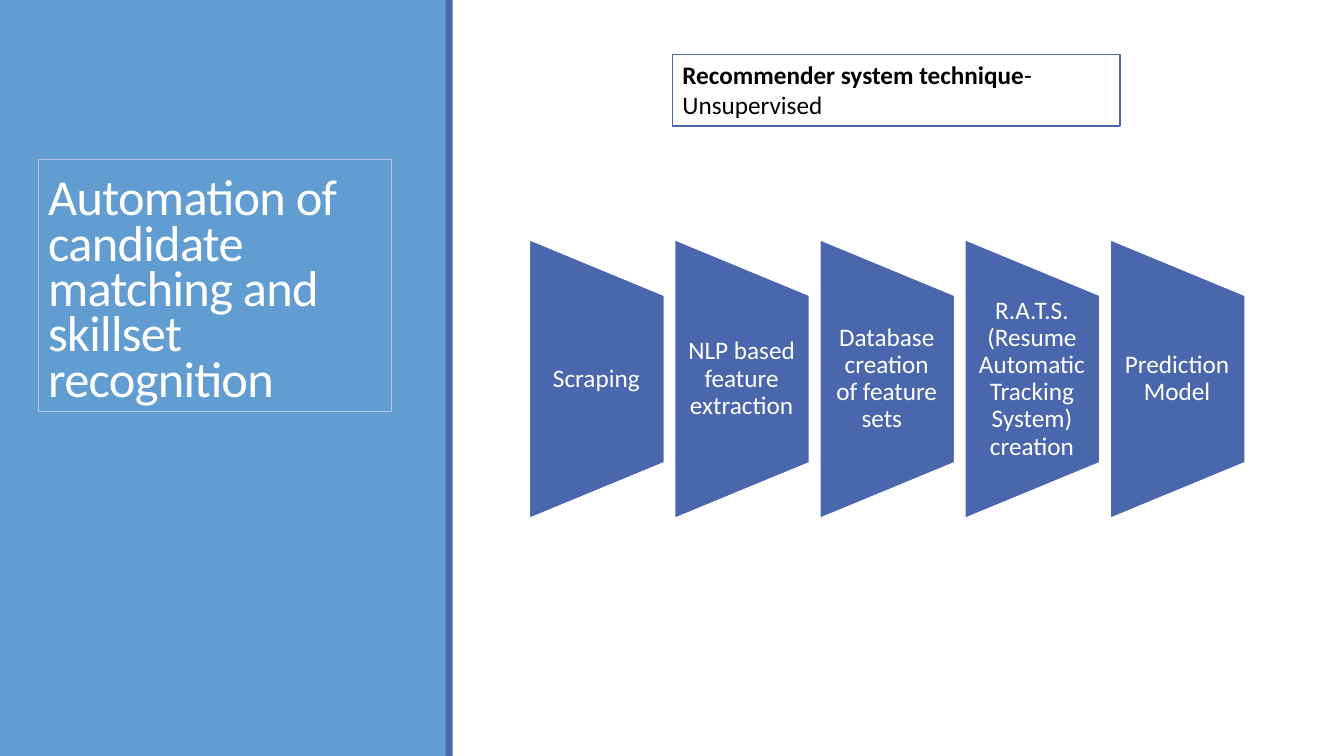
import pptx
import pptx.dml.color
import pptx.enum.shapes
import pptx.enum.text
import pptx.util

Inches = pptx.util.Inches
Pt = pptx.util.Pt
Shape = pptx.enum.shapes.MSO_SHAPE
Anchor = pptx.enum.text.MSO_ANCHOR
Align = pptx.enum.text.PP_ALIGN

COLORS = {
    "panel": "629DD1",
    "accent": "4A66AC",
    "frame": "B5C1DF",
    "white": "FFFFFF",
    "black": "000000",
}
STEPS = [
    "Scraping",
    "NLP based feature extraction",
    "Database creation of feature sets\t",
    "R.A.T.S. (Resume Automatic Tracking System) creation",
    "Prediction Model",
]


class Deck:
    font = "Calibri"

    def __init__(self):
        self.prs = pptx.Presentation()
        self.prs.slide_width = Inches(13.33)
        self.prs.slide_height = Inches(7.5)
        self.slide = self.prs.slides.add_slide(self.prs.slide_layouts[6])

    def color(self, name):
        return pptx.dml.color.RGBColor.from_string(COLORS[name])

    def shape(self, kind, box, fill=None, line=None, width=1.25):
        """Add a preset shape; box is left, top, width, height in inches."""
        item = self.slide.shapes.add_shape(kind, *map(Inches, box))
        item.shadow.inherit = False
        if fill:
            item.fill.solid()
            item.fill.fore_color.rgb = self.color(fill)
        else:
            item.fill.background()
        if line:
            item.line.color.rgb = self.color(line)
            item.line.width = Pt(width)
        else:
            item.line.fill.background()
        return item

    def text(self, item, parts, size, color, anchor, align=Align.LEFT, spacing=1.0, track=0):
        """Write (text, bold) parts as one paragraph; track is in points."""
        frame = item.text_frame
        frame.word_wrap = True
        frame.vertical_anchor = anchor
        para = frame.paragraphs[0]
        para.alignment = align
        para.line_spacing = spacing
        for words, bold in parts:
            run = para.add_run()
            run.text = words
            run.font.name = self.font
            run.font.size = Pt(size)
            run.font.bold = bold
            run.font.color.rgb = self.color(color)
            if track:
                run._r.get_or_add_rPr().set("spc", str(round(track * 100)))

    def step(self, left, words):
        """Add a trapezoid turned on its side, with an upright label on it."""
        wide, tall, mid = 1.34, 2.77, 3.76
        turned = (left + (wide - tall) / 2, mid - wide / 2, tall, wide)
        block = self.shape(Shape.FLOWCHART_MANUAL_OPERATION, turned, "accent", "white")
        block.rotation = 270
        label = self.slide.shapes.add_textbox(
            Inches(left), Inches(mid - 0.83), Inches(wide), Inches(1.66))
        frame = label.text_frame
        frame.margin_left, frame.margin_right = Inches(0.12), Inches(0.13)
        frame.margin_top = frame.margin_bottom = 0
        self.text(label, [(words, False)], 18, "white", Anchor.MIDDLE, Align.CENTER, 0.9)


def main():
    deck = Deck()
    deck.shape(Shape.RECTANGLE, (0, 0, 4.43, 7.5), "panel")
    deck.shape(Shape.RECTANGLE, (4.42, 0, 0.07, 7.5), "accent")

    for index, words in enumerate(STEPS):
        deck.step(5.25 + 1.44 * index, words)

    title = deck.shape(Shape.RECTANGLE, (0.38, 1.58, 3.5, 2.5), line="frame", width=0.75)
    deck.text(title, [("Automation of candidate matching and skillset recognition", False)],
              36, "white", Anchor.BOTTOM, spacing=0.75, track=-0.5)

    note = deck.shape(Shape.RECTANGLE, (6.67, 0.54, 4.44, 0.71), "white", "accent")
    deck.text(note, [("Recommender system technique", True), ("- Unsupervised", False)],
              18, "black", Anchor.TOP)
    note.text_frame.auto_size = pptx.enum.text.MSO_AUTO_SIZE.SHAPE_TO_FIT_TEXT

    deck.prs.save("out.pptx")


if __name__ == "__main__":
    main()
